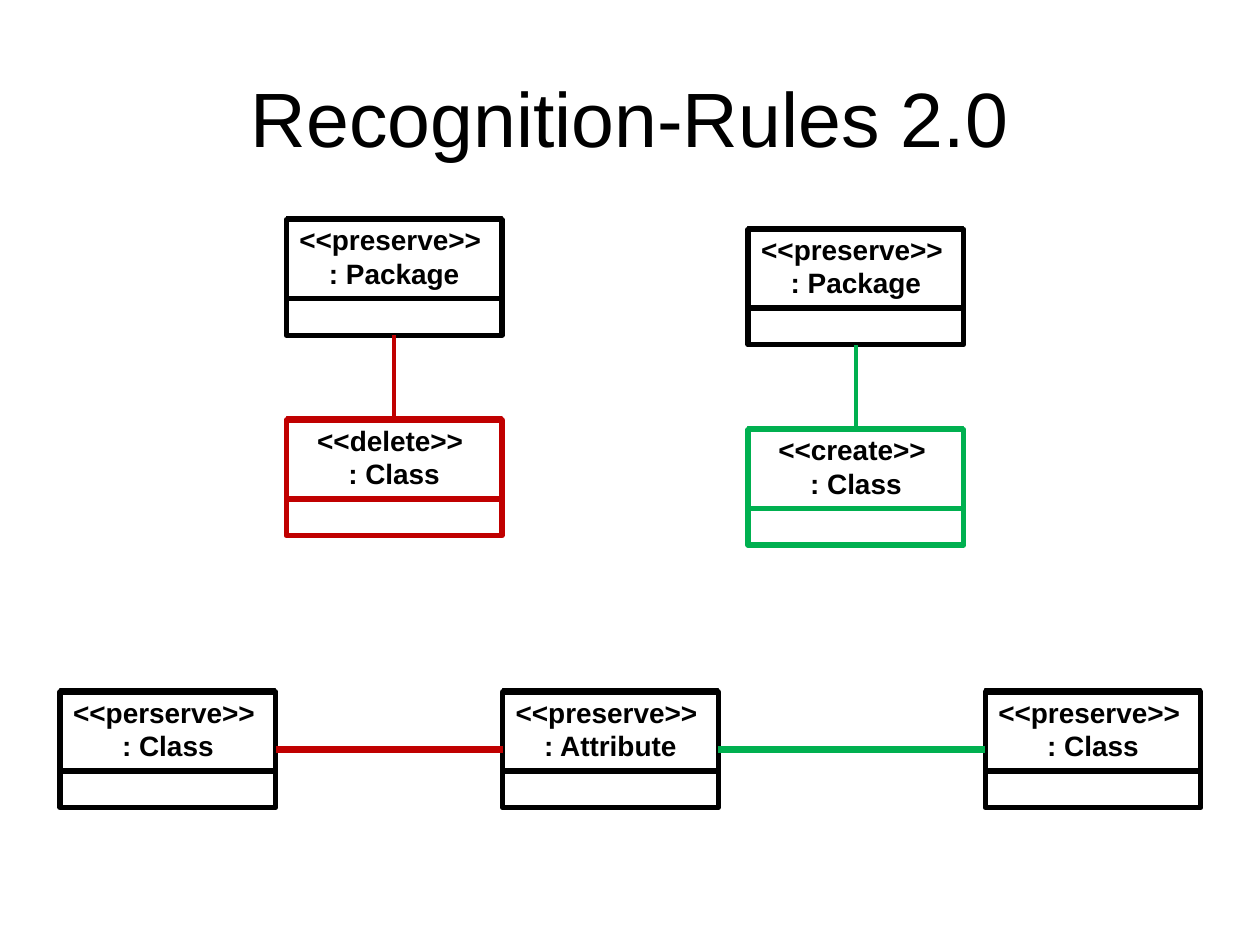
from dataclasses import dataclass

from lxml.etree import SubElement
from pptx import Presentation
from pptx.dml.color import RGBColor as Color
from pptx.enum.shapes import MSO_CONNECTOR as Connector, MSO_SHAPE as Shape
from pptx.enum.text import MSO_ANCHOR as Anchor, MSO_AUTO_SIZE as AutoSize, PP_ALIGN as Align
from pptx.oxml.ns import qn
from pptx.util import Cm, Pt


@dataclass(frozen=True)
class Theme:
    font: str = "Arial"
    title_size: float = 44
    label_size: float = 16
    text: str = "000000"
    paper: str = "FFFFFF"
    keep: str = "000000"
    delete: str = "C00000"
    create: str = "00B050"
    frame_line: float = 3
    header_line: float = 0.75
    link_line: float = 2.5
    wide_link_line: float = 4


THEME = Theme()

TITLE = "Recognition-Rules 2.0"

# name: (left cm, top cm, stereotype, type, colour)
STEP = 4.04  # from a package down to its class
ROW_TOP = 13.95
NODES = {
    "new package": (15.08, 4.62, "<<preserve>> ", ": Package", THEME.keep),
    "new class": (15.08, 4.62 + STEP, "<<create>> ", ": Class", THEME.create),
    "old package": (5.77, 4.43, "<<preserve>> ", ": Package", THEME.keep),
    "old class": (5.77, 4.43 + STEP, "<<delete>> ", ": Class", THEME.delete),
    "source class": (1.21, ROW_TOP, "<<perserve>> ", ": Class", THEME.keep),
    "attribute": (10.13, ROW_TOP, "<<preserve>> ", ": Attribute", THEME.keep),
    "target class": (19.86, ROW_TOP, "<<preserve>> ", ": Class", THEME.keep),
}

VERTICAL_LINKS = [
    ("new package", "new class", THEME.create),
    ("old package", "old class", THEME.delete),
]
HORIZONTAL_LINKS = [
    ("source class", "attribute", THEME.delete),
    ("attribute", "target class", THEME.create),
]

NODE_WIDTH, NODE_HEIGHT = 4.35, 2.33
HEADER_HEIGHT, HEADER_RISE = 1.62, 0.06
DIVIDER_DROP = 1.59
TOP, LEFT, BOTTOM, RIGHT = range(4)


def style_line(shape, color, width):
    shape.line.color.rgb = Color.from_string(color)
    shape.line.width = Pt(width)


def write(shape, lines, size, bold=False):
    frame = shape.text_frame
    frame.word_wrap = True
    frame.text = "\n".join(lines)
    for paragraph in frame.paragraphs:
        paragraph.alignment = Align.CENTER
        font = paragraph.font
        font.name, font.size, font.bold = THEME.font, Pt(size), bold
        font.color.rgb = Color.from_string(THEME.text)
    return frame


def add_box(page, left, top, width, height, color, line_width):
    box = page.shapes.add_shape(Shape.RECTANGLE, Cm(left), Cm(top), Cm(width), Cm(height))
    box.shadow.inherit = False
    box.fill.background()
    style_line(box, color, line_width)
    return box


def add_line(page, color, width, start=(0, 0), end=(0, 0)):
    points = [Cm(value) for value in (*start, *end)]
    line = page.shapes.add_connector(Connector.STRAIGHT, *points)
    style_line(line, color, width)
    SubElement(line._element.spPr, qn("a:effectLst"))
    return line


def add_node(page, left, top, stereotype, kind, color):
    """Draw frame, divider and header; return the frame and the header."""
    frame = add_box(page, left, top, NODE_WIDTH, NODE_HEIGHT, color, THEME.frame_line)
    if color != THEME.keep:
        frame.fill.solid()
        frame.fill.fore_color.rgb = Color.from_string(THEME.paper)
    divider = top + DIVIDER_DROP
    add_line(page, color, THEME.frame_line, (left, divider), (left + NODE_WIDTH, divider))
    header = add_box(page, left, top - HEADER_RISE, NODE_WIDTH, HEADER_HEIGHT,
                     color, THEME.header_line)
    text = write(header, [stereotype, kind], THEME.label_size, bold=True)
    text.vertical_anchor = Anchor.TOP
    text.auto_size = AutoSize.SHAPE_TO_FIT_TEXT
    return frame, header


def link(page, start, start_side, end, end_side, color, width):
    line = add_line(page, color, width)
    line.begin_connect(start, start_side)
    line.end_connect(end, end_side)


def main():
    deck = Presentation()
    deck.slide_width, deck.slide_height = Cm(25.4), Cm(19.05)
    page = deck.slides.add_slide(deck.slide_layouts[6])

    title = page.shapes.add_textbox(Cm(1.27), Cm(0.76), Cm(22.86), Cm(3.18))
    write(title, [TITLE], THEME.title_size).vertical_anchor = Anchor.MIDDLE

    nodes = {name: add_node(page, *node) for name, node in NODES.items()}
    frames = {name: frame for name, (frame, _) in nodes.items()}
    headers = {name: header for name, (_, header) in nodes.items()}

    for upper, lower, color in VERTICAL_LINKS:
        link(page, frames[upper], BOTTOM, headers[lower], TOP, color, THEME.link_line)
    for first, second, color in HORIZONTAL_LINKS:
        link(page, frames[first], RIGHT, frames[second], LEFT, color, THEME.wide_link_line)

    deck.save("out.pptx")


if __name__ == "__main__":
    main()
